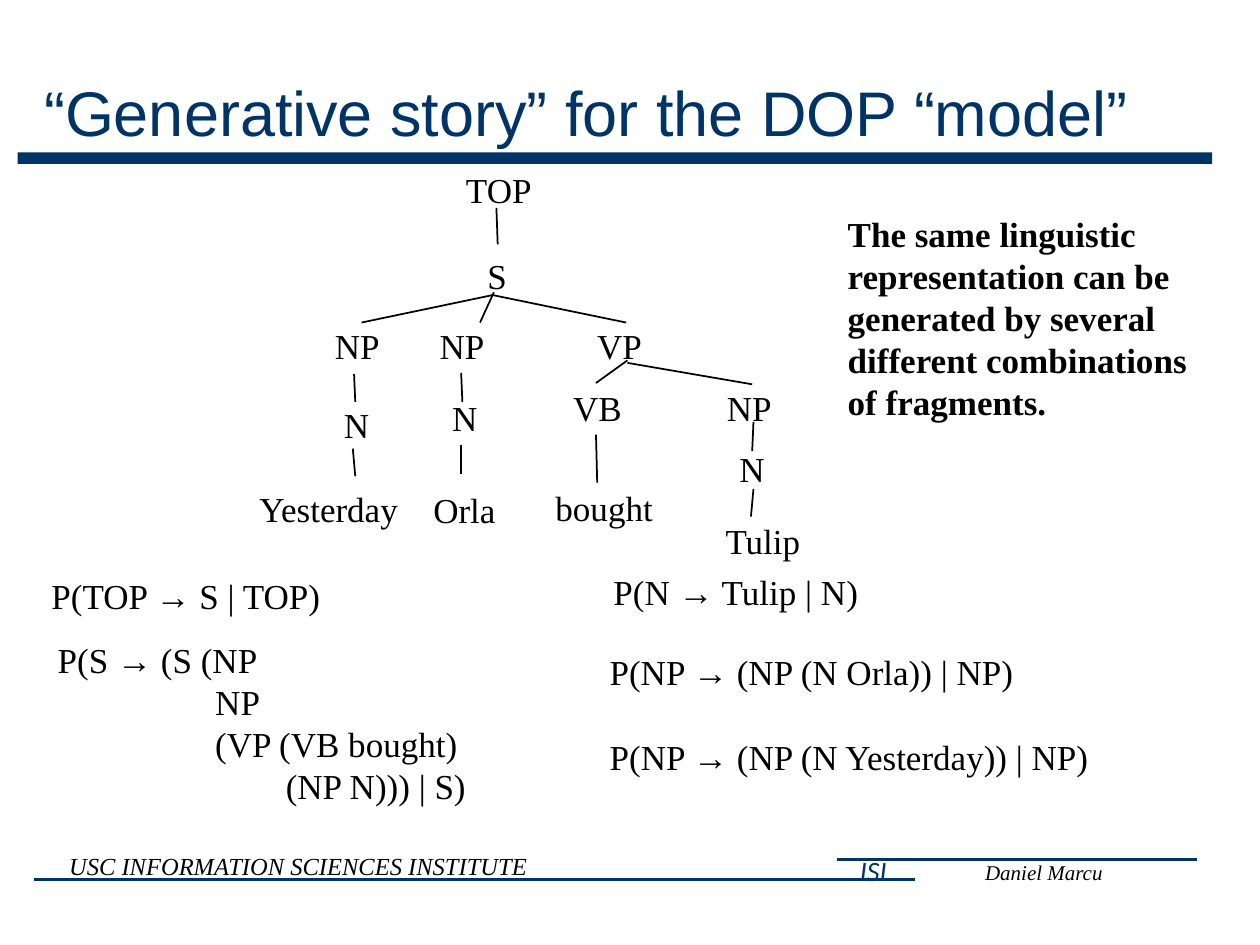
from dataclasses import dataclass
from lxml.etree import SubElement
from pptx import Presentation
from pptx.dml.color import RGBColor
from pptx.enum.shapes import MSO_CONNECTOR, MSO_SHAPE
from pptx.enum.text import MSO_ANCHOR, MSO_AUTO_SIZE, PP_ALIGN
from pptx.oxml.ns import qn
from pptx.util import Inches, Pt


@dataclass
class Theme:
    navy: RGBColor = RGBColor(0x00, 0x33, 0x66)
    black: RGBColor = RGBColor(0, 0, 0)
    serif: str = "Times New Roman"
    head: str = "Arial"
    mark: str = "Calibri"
    title: int = 36
    body: int = 20
    logo: int = 16
    foot: int = 14
    name: int = 12


theme = Theme()
deck = Presentation()
deck.slide_width, deck.slide_height = Inches(10), Inches(7.5)
slide = deck.slides.add_slide(deck.slide_layouts[5])


def add_text(text, left, top, width, height=0.44, size=theme.body,
             face=theme.serif, color=theme.black, align=PP_ALIGN.LEFT):
    box = slide.shapes.add_textbox(Inches(left), Inches(top), Inches(width), Inches(height))
    frame = box.text_frame
    frame.text = text
    frame.word_wrap = True
    for line in frame.paragraphs:
        line.alignment = align
        for run in line.runs:
            run.font.size, run.font.name = Pt(size), face
            run.font.color.rgb = color
    return frame


def add_line(x1, y1, x2, y2, color=theme.black, width=1):
    line = slide.shapes.add_connector(
        MSO_CONNECTOR.STRAIGHT, Inches(x1), Inches(y1), Inches(x2), Inches(y2))
    line.line.color.rgb = color
    line.line.width = Pt(width)
    SubElement(line._element.spPr, qn("a:effectLst"))


bar = slide.shapes.add_shape(
    MSO_SHAPE.RECTANGLE, Inches(0.14), Inches(1.21), Inches(9.48), Inches(0.09))
bar.shadow.inherit = False
bar.fill.solid()
bar.fill.fore_color.rgb = theme.navy
bar.line.fill.background()

add_line(0.27, 6.98, 7.26, 6.98, theme.navy, 2)
add_line(6.64, 6.82, 9.5, 6.82, theme.navy, 2)
feet = [
    ("ISI", 6.69, 6.72, 0.48, 0.37, theme.logo, theme.mark, theme.navy, PP_ALIGN.CENTER),
    ("USC INFORMATION SCIENCES INSTITUTE", 0.45, 6.7, 3.95, 0.34, theme.foot),
    ("Daniel Marcu", 7.72, 6.77, 1.25, 0.3, theme.name),
]
for foot in feet:
    frame = add_text(*foot)
    frame.vertical_anchor = MSO_ANCHOR.MIDDLE
    frame.paragraphs[0].runs[0].font.italic = True

title = slide.shapes.title
title.left, title.top = Inches(0.25), Inches(0.42)
title.width, title.height = Inches(9.25), Inches(0.92)
frame = title.text_frame
frame.text = "“Generative story” for the DOP “model”"
frame.auto_size = MSO_AUTO_SIZE.NONE
frame.vertical_anchor = MSO_ANCHOR.MIDDLE
frame.paragraphs[0].alignment = PP_ALIGN.LEFT
font = frame.paragraphs[0].runs[0].font
font.size, font.name = Pt(theme.title), theme.head
font.color.rgb = theme.navy

nodes = [
    ("TOP", 3.6, 1.29, 0.8), ("S", 3.77, 1.97, 0.4),
    ("NP", 2.56, 2.53, 0.65), ("NP", 3.39, 2.53, 0.65), ("VP", 4.64, 2.53, 0.65),
    ("N", 2.63, 3.15, 0.45), ("N", 3.49, 3.1, 0.45),
    ("VB", 4.45, 3.02, 0.65), ("NP", 5.67, 3.02, 0.65), ("N", 5.77, 3.5, 0.45),
    ("Yesterday", 1.96, 3.82, 1.38), ("Orla", 3.34, 3.83, 0.75),
    ("bought", 4.31, 3.81, 1.05), ("Tulip", 5.66, 4.07, 0.85),
]
rules = [
    ("P(TOP → S | TOP)", 0.31, 4.51, 2.5),
    ("P(N → Tulip | N)", 4.77, 4.48, 2.3),
    ("P(NP → (NP (N Orla)) | NP)", 4.74, 5.11, 3.5),
    ("P(NP → (NP (N Yesterday)) | NP)", 4.74, 5.79, 4.15),
]
for item in nodes + rules:
    add_text(*item)

edges = [
    (3.94, 1.65, 3.95, 1.94),
    (3.92, 2.34, 2.87, 2.56), (3.92, 2.32, 3.81, 2.56), (3.9, 2.34, 4.97, 2.56),
    (2.81, 2.97, 2.82, 3.19), (2.8, 3.56, 2.82, 3.78),
    (3.66, 2.96, 3.67, 3.19), (3.66, 3.53, 3.66, 3.76),
    (4.98, 2.86, 4.73, 3.04), (4.98, 2.88, 5.97, 3.05),
    (4.73, 3.45, 4.74, 3.83), (5.98, 3.35, 5.97, 3.58), (5.98, 3.88, 5.96, 4.1),
]
for edge in edges:
    add_line(*edge)

frame = add_text("P(S → (S (NP\nNP\n(VP (VB bought)\n(NP N))) | S)", 0.36, 5.02, 3.52, 1.44)
for line, dent in zip(frame.paragraphs, (0, 1.25, 1.25, 1.81)):
    line._p.get_or_add_pPr().set("marL", str(Inches(dent)))

frame = add_text(
    "The same linguistic\nrepresentation can be\ngenerated by several\n"
    "different combinations\nof fragments.", 6.63, 1.64, 3, 1.77)
for line in frame.paragraphs:
    line.runs[0].font.bold = True

deck.save("out.pptx")
